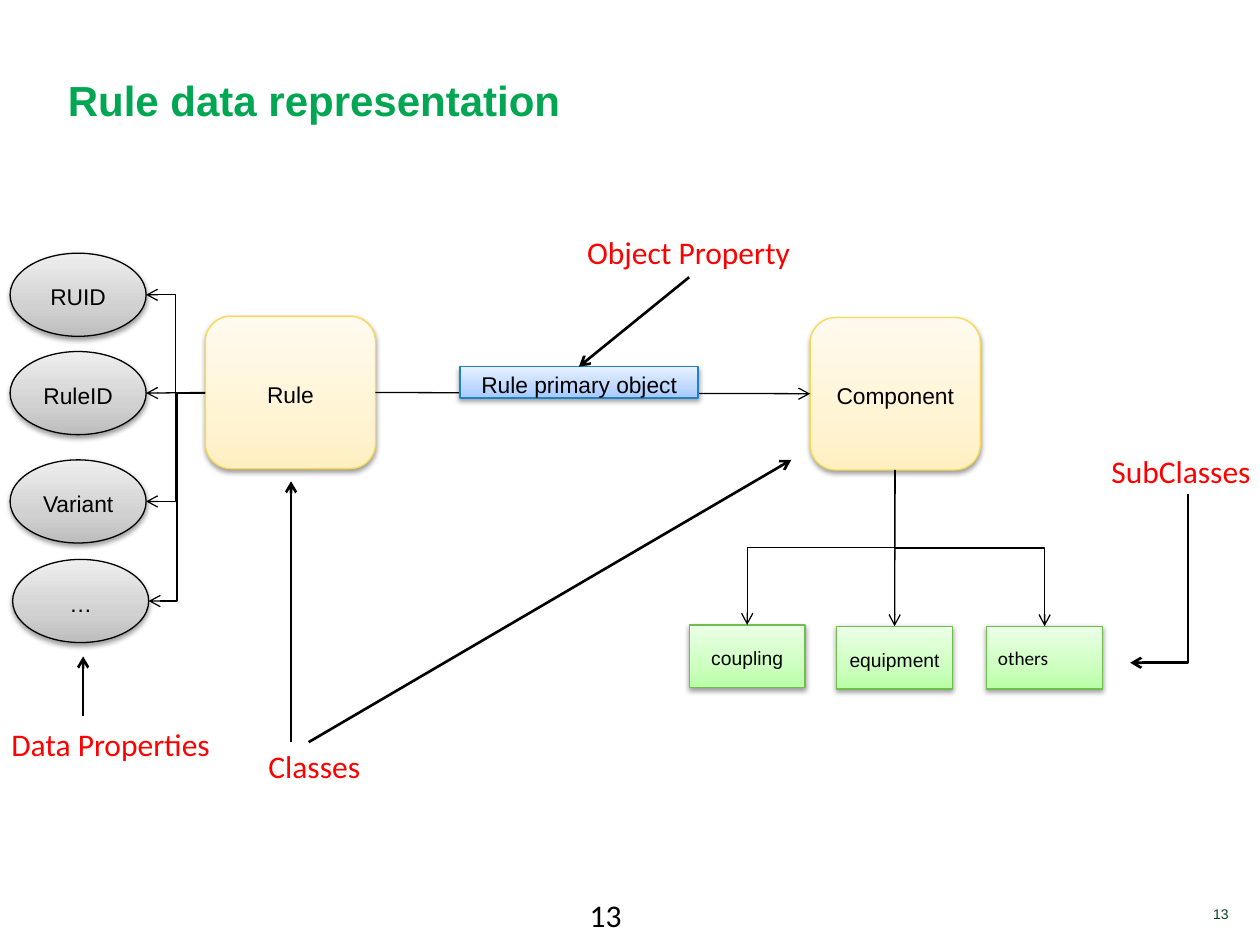
from copy import deepcopy
from pptx import Presentation
from pptx.dml.color import RGBColor
from pptx.enum.shapes import MSO_CONNECTOR as LINK, MSO_SHAPE as FORM
from pptx.enum.text import MSO_ANCHOR as ANCHOR, MSO_AUTO_SIZE as FIT, PP_ALIGN as ALIGN
from pptx.oxml import parse_xml
from pptx.oxml.ns import nsdecls, qn
from pptx.util import Inches, Pt

SHADOW = (f'<a:outerShdw {nsdecls("a")} blurRad="39370" dist="20320" dir="5400000" rotWithShape="0">'
          '<a:srgbClr val="000000"><a:alpha val="38000"/></a:srgbClr></a:outerShdw>')
CREAM = ("FFEFC1", "FFF4D4", "FFFAEF", "F9DA51")
BLUE = ("A3C9FF", "BED8FF", "E6F0FF", "1F82C6")
GREEN = ("B9FFA6", "CDFFC0", "ECFFE7", "6FBE4E")
GRAY = ("BDBDBD", "D1D1D1", "EEEEEE", "000000")


def color(code):
    """Turn a hex string into a colour."""
    return RGBColor.from_string(code)


def adjust(target, values):
    """Set each named value on the target."""
    for name, value in values.items():
        setattr(target, name, value)


class Board:
    """Hold the style and the current slide."""

    def __init__(self, slide):
        """Start drawing on a slide."""
        self.shapes = slide.shapes
        self.ink = "000000"
        self.inset = {"margin_left": Inches(0.09), "margin_right": Inches(0.09),
                      "margin_top": Inches(0.04), "margin_bottom": Inches(0.04)}

    def letter(self, shape, text, size, face="Arial", ink=None, bold=False, para=None, **frame):
        """Put one styled paragraph into a shape."""
        body = shape.text_frame
        adjust(body, {"word_wrap": True, **self.inset, **frame})
        line = body.paragraphs[0]
        line.text = text
        adjust(line, para or {})
        adjust(line.font, {"name": face, "size": Pt(size), "bold": bold})
        line.font.color.rgb = color(ink or self.ink)

    def text(self, box, text, size, **style):
        """Add a text box."""
        self.letter(self.shapes.add_textbox(*map(Inches, box)), text, size, **style)

    def label(self, box, text):
        """Add a red caption that does not wrap."""
        self.text(box, text, 18, face="Calibri", ink="FF0000", word_wrap=False,
                  auto_size=FIT.SHAPE_TO_FIT_TEXT)

    def node(self, form, box, text, hues, size=13, face="Arial", center=True):
        """Add a shaded shape with a caption."""
        shape = self.shapes.add_shape(form, *map(Inches, box))
        shape.fill.gradient()
        shape.fill.gradient_angle = 90
        stops = shape._element.spPr.find(".//" + qn("a:gsLst"))
        stops.append(deepcopy(stops[-1]))
        for stop, place, hue in zip(shape.fill.gradient_stops, (0, 0.35, 1), hues):
            stop.position = place
            stop.color.rgb = color(hue)
        shape.line.color.rgb = color(hues[-1])
        shape.line.width = Pt(0.75)
        shape.shadow.inherit = False
        shape._element.spPr.find(qn("a:effectLst")).append(parse_xml(SHADOW))
        para = {"alignment": ALIGN.CENTER, "line_spacing": 1.15} if center else {"alignment": ALIGN.LEFT}
        self.letter(shape, text, size, face, para=para, vertical_anchor=ANCHOR.MIDDLE)
        return shape

    def arrow(self, start, end, width=0.75, kind=LINK.STRAIGHT, tail=None, head=None):
        """Add an arrow, joined to (shape, side) pairs if given."""
        link = self.shapes.add_connector(kind, *map(Inches, (*start, *end)))
        link.line.color.rgb = color(self.ink)
        link.line.width = Pt(width)
        props = link._element.spPr
        props.find(qn("a:ln")).append(parse_xml(f'<a:tailEnd {nsdecls("a")} type="arrow"/>'))
        props.append(parse_xml(f'<a:effectLst {nsdecls("a")}/>'))
        if tail:
            link.begin_connect(*tail)
        if head:
            link.end_connect(*head)
        return link

    def drop(self, start, end, width=0.75, bend=0.5):
        """Add an elbow arrow that leaves downwards."""
        (x1, y1), (x2, y2) = start, end
        wide, high = y2 - y1, abs(x2 - x1)
        left, top = (x1 + x2 - wide) / 2, (y1 + y2 - high) / 2
        link = self.arrow((left, top), (left + wide, top + high), width, LINK.ELBOW)
        frame = link._element.spPr.find(qn("a:xfrm"))
        frame.set("rot", "5400000" if x2 < x1 else "16200000")
        if x2 > x1:
            frame.set("flipH", "1")
        guide = link._element.spPr.find(".//" + qn("a:avLst"))
        guide.append(parse_xml(f'<a:gd {nsdecls("a")} name="adj1" fmla="val {int(bend * 100000)}"/>'))


def main():
    """Build and save the slide."""
    deck = Presentation()
    adjust(deck, {"slide_width": Inches(10), "slide_height": Inches(7.5)})
    board = Board(deck.slides.add_slide(deck.slide_layouts[6]))

    wide = {"margin_left": Inches(0.1), "margin_right": Inches(0.1),
            "margin_top": Inches(0.05), "margin_bottom": Inches(0.05), "vertical_anchor": ANCHOR.BOTTOM}
    board.text((0.44, 0.36, 9.23, 0.68), "Rule data representation", 24, ink="00A651", bold=True, **wide)
    board.text((8.54, 7.14, 1.31, 0.23), "13", 8, ink="004621", para={"alignment": ALIGN.RIGHT}, **wide)
    board.text((4.59, 7.07, 0.84, 0.24), "13", 18, face="Calibri")

    rule = board.node(FORM.ROUNDED_RECTANGLE, (1.63, 2.51, 1.35, 1.21), "Rule", CREAM)
    part = board.node(FORM.ROUNDED_RECTANGLE, (6.43, 2.52, 1.35, 1.21), "Component", CREAM)
    board.arrow((2.98, 3.12), (6.43, 3.13), tail=(rule, 3), head=(part, 1))
    bond = board.node(FORM.RECTANGLE, (3.65, 2.91, 1.89, 0.25), "Rule primary object", BLUE)

    kinds = [(5.47, 4.96, "coupling", "Arial"), (6.64, 4.97, "equipment", "Arial"),
             (7.83, 4.97, "others", "Calibri")]
    for left, top, name, face in kinds:
        kind = board.node(FORM.RECTANGLE, (left, top, 0.92, 0.5), name, GREEN, 11, face, name != "others")
        start, end = (7.1, 3.73), (left + 0.46, top)
        if name == "equipment":
            board.arrow(start, end, tail=(part, 2), head=(kind, 0))
        else:
            board.drop(start, end)

    fields = [(0.08, 2.01, "RUID"), (0.08, 2.79, "RuleID"), (0.08, 3.65, "Variant"), (0.1, 4.44, "…")]
    for left, top, name in fields:
        board.node(FORM.OVAL, (left, top, 1.08, 0.66), name, GRAY)
        start, end = (1.63, 3.12), (left + 1.08, top + 0.33)
        if name == "RuleID":
            board.arrow(start, end, tail=(rule, 1))
        else:
            board.arrow(start, end, kind=LINK.ELBOW)

    board.arrow((2.31, 5.89), (2.31, 3.82), 1.5)
    board.arrow((2.45, 5.89), (6.28, 3.65), 1.5)
    board.arrow((0.66, 5.68), (0.66, 5.21), 1.5)
    board.arrow((5.47, 2.2), (4.6, 2.91), 1.5, head=(bond, 0))
    board.drop((9.43, 3.92), (8.97, 5.26), 1.5, 1)

    board.label((0, 5.71, 1.77, 0.39), "Data Properties")
    board.label((4.57, 1.81, 1.8, 0.39), "Object Property")
    board.label((2.04, 5.89, 0.91, 0.39), "Classes")
    board.label((8.73, 3.55, 1.29, 0.39), "SubClasses")
    deck.save("out.pptx")


if __name__ == "__main__":
    main()
